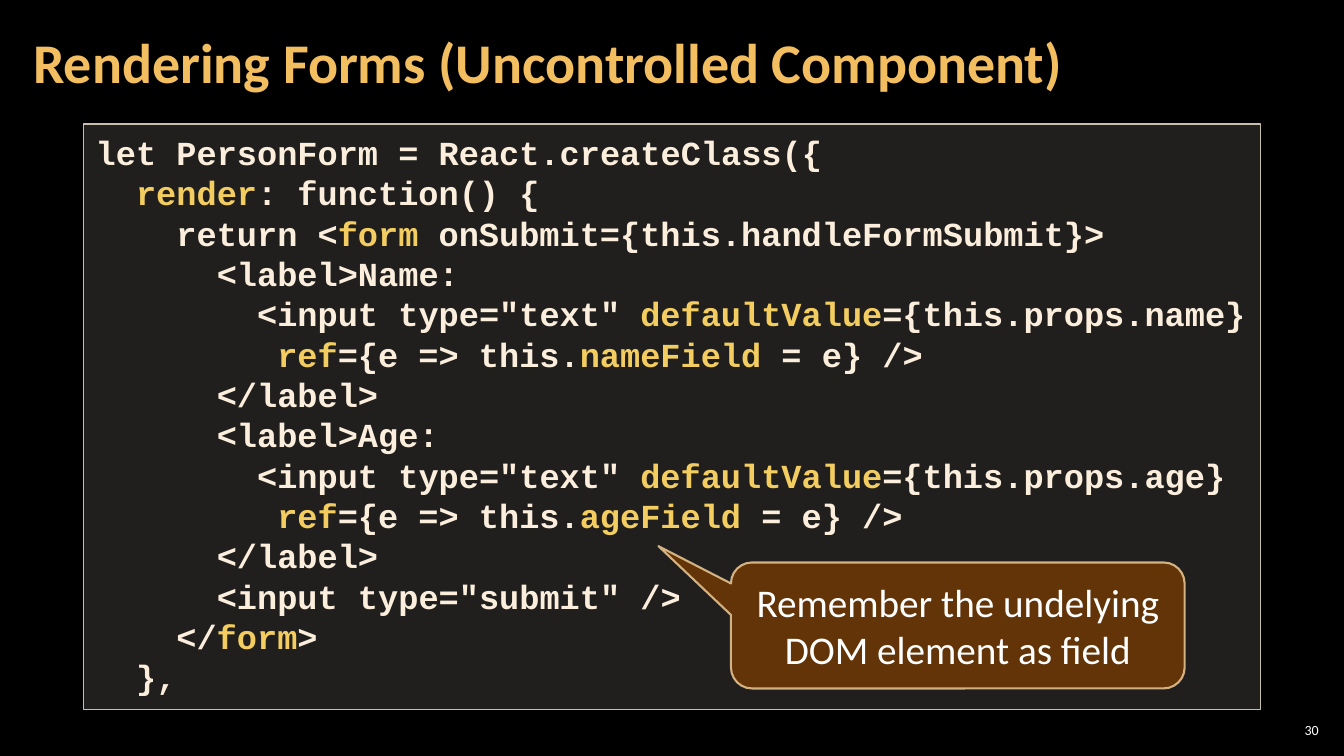
import pptx
import pptx.dml.color
import pptx.enum.shapes
import pptx.enum.text
import pptx.oxml
import pptx.oxml.ns
import pptx.util

Inches = pptx.util.Inches
Align = pptx.enum.text.PP_ALIGN
Anchor = pptx.enum.text.MSO_ANCHOR
Shape = pptx.enum.shapes.MSO_SHAPE

WHITE, CREAM, GOLD, YELLOW = "FFFFFF", "FBEEDC", "F3BE60", "F3CD60"

# Bars enclose the highlighted words.
CODE = """\
let PersonForm = React.createClass({
  |render|: function() {
    return <|form| onSubmit={this.handleFormSubmit}>
      <label>Name:
        <input type="text" |defaultValue|={this.props.name}
         |ref|={e => this.|nameField| = e} />
      </label>
      <label>Age:
        <input type="text" |defaultValue|={this.props.age}
         |ref|={e => this.|ageField| = e} />
      </label>
      <input type="submit" />
    </|form|>
  },"""


def color(value):
    return pptx.dml.color.RGBColor.from_string(value)


def paint(fill, value, opacity=100):
    """Make a fill solid, with its opacity in percent."""
    fill.solid()
    fill.fore_color.rgb = color(value)
    if opacity < 100:
        namespace = pptx.oxml.ns.nsdecls("a")
        alpha = pptx.oxml.parse_xml(f'<a:alpha {namespace} val="{opacity * 1000}"/>')
        fill._xPr.find(".//" + pptx.oxml.ns.qn("a:srgbClr")).append(alpha)


def outline(line, value, width, opacity=100):
    line.width = pptx.util.Pt(width)
    paint(line.fill, value, opacity)


def write(shape, text, size, ink, accent=None, font="Calibri", bold=False,
          align=Align.LEFT, anchor=Anchor.MIDDLE, inset=(0.1, 0.05), spacing=1.0):
    """Fill a shape with text; parts between bars take the accent colour."""
    frame = shape.text_frame
    frame.word_wrap = True
    frame.vertical_anchor = anchor
    frame.margin_left = frame.margin_right = Inches(inset[0])
    frame.margin_top = frame.margin_bottom = Inches(inset[1])
    for row, content in enumerate(text.split("\n")):
        para = frame.add_paragraph() if row else frame.paragraphs[0]
        para.alignment = align
        para.line_spacing = spacing
        for part, words in enumerate(content.split("|")):
            if not words:
                continue
            span = para.add_run()
            span.text = words
            span.font.name = font
            span.font.size = pptx.util.Pt(size)
            span.font.bold = bold
            span.font.color.rgb = color(accent if part % 2 else ink)


def add_panel(page, kind, box):
    panel = page.shapes.add_shape(kind, *map(Inches, box))
    panel.shadow.inherit = False
    return panel


def add_title(page, box, text):
    title = page.shapes.add_textbox(*map(Inches, box))
    write(title, text, 40, GOLD, bold=True, inset=(0.12, 0.04), spacing=0.9)


def add_page_number(page, box, number):
    label = page.shapes.add_textbox(*map(Inches, box))
    write(label, str(number), 10, WHITE, align=Align.RIGHT, inset=(0.04, 0.04))


def add_code(page, box, code):
    panel = add_panel(page, Shape.RECTANGLE, box)
    paint(panel.fill, "D9D5C7", 15)
    outline(panel.line, "C7BFAC", 1)
    write(panel, code, 24, CREAM, accent=YELLOW, font="Courier New", bold=True,
          anchor=Anchor.TOP, inset=(0.12, 0.08))


def add_callout(page, box, text, tip):
    """Add a speech bubble; tip is its offset from the centre in box sizes."""
    callout = add_panel(page, Shape.ROUNDED_RECTANGULAR_CALLOUT, box)
    callout.adjustments[0], callout.adjustments[1] = tip
    paint(callout.fill, "663606", 95)
    outline(callout.line, "F8D49E", 1.5, 80)
    write(callout, text, 28, WHITE, align=Align.CENTER)


def main():
    deck = pptx.Presentation()
    deck.slide_width, deck.slide_height = Inches(13.33), Inches(7.5)
    page = deck.slides.add_slide(deck.slide_layouts[6])
    paint(page.background.fill, "000000")
    add_page_number(page, (12.65, 7.14, 0.47, 0.21), 30)
    add_title(page, (0.21, 0.04, 10.47, 1.21), "Rendering Forms (Uncontrolled Component)")
    add_code(page, (0.83, 1.23, 11.67, 5.81), CODE)
    add_callout(page, (7.25, 5.58, 4.5, 1.25),
                "Remember the undelying DOM element as field", (-0.66, -0.63))
    deck.save("out.pptx")


if __name__ == "__main__":
    main()
